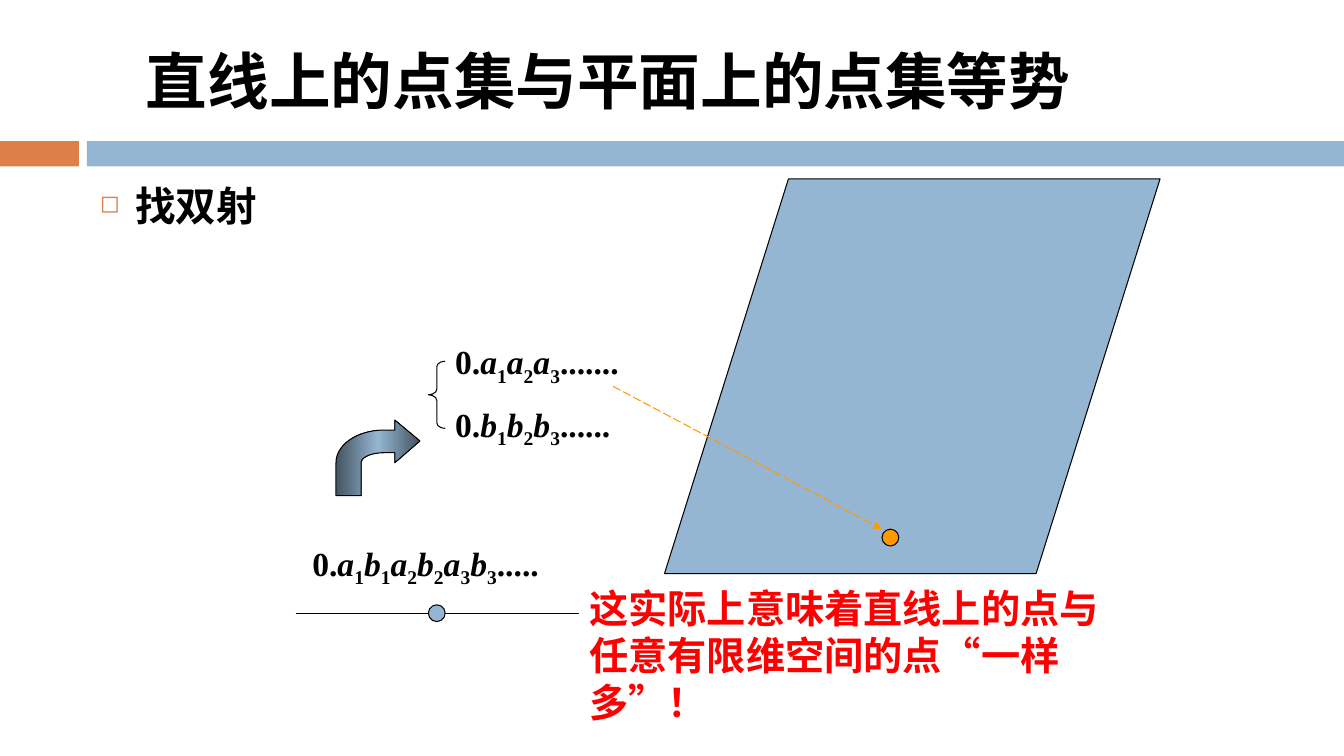
from copy import deepcopy

from lxml import etree
from pptx import Presentation
from pptx.dml.color import RGBColor
from pptx.enum.dml import MSO_LINE
from pptx.enum.shapes import MSO_CONNECTOR, MSO_SHAPE
from pptx.enum.text import MSO_ANCHOR
from pptx.oxml.ns import qn
from pptx.util import Inches, Pt

RECT, OVAL = MSO_SHAPE.RECTANGLE, MSO_SHAPE.OVAL
PLANE, BRACE = MSO_SHAPE.PARALLELOGRAM, MSO_SHAPE.LEFT_BRACE
STRAIGHT, LONG_DASH = MSO_CONNECTOR.STRAIGHT, MSO_LINE.LONG_DASH
TOP, MIDDLE = MSO_ANCHOR.TOP, MSO_ANCHOR.MIDDLE
BLUE, ORANGE, AMBER, BLACK = "94B6D2", "DD8047", "FF9900", "000000"
COLUMNS, ROWS = 160, 90

deck = Presentation()
deck.slide_width, deck.slide_height = Inches(13.33), Inches(7.5)
slide = deck.slides.add_slide(deck.slide_layouts[6])
shapes = slide.shapes


def grid(*cells):
    sizes = (deck.slide_width / COLUMNS, deck.slide_height / ROWS)
    return [round(cell * sizes[i % 2]) for i, cell in enumerate(cells)]


def paint(part, color):
    if hasattr(part, "solid"):
        part.solid()
        part = part.fore_color
    elif hasattr(part, "color"):
        part = part.color
    part.rgb = RGBColor.from_string(color)


def_outline = Pt(0.75)

lines = [
    ((35.2, 73, 68.9, 73), BLACK, False),
    ((73, 46, 105, 63), AMBER, True),
]
figures = [
    (RECT, (0, 16.8, 9.4, 3), ORANGE, None, []),
    (RECT, (10.36, 16.8, 149.64, 3), BLUE, None, []),
    (PLANE, (79.1, 21.3, 59, 47), BLUE, BLACK, [0.314]),
    (BRACE, (51, 43, 2, 8), None, BLACK, [0.333, 0.5]),
]

for kind, place, fill, outline, adjustments in figures:
    figure = shapes.add_shape(kind, *grid(*place))
    figure.shadow.inherit = False
    for i, value in enumerate(adjustments):
        figure.adjustments[i] = value
    if fill:
        paint(figure.fill, fill)
    else:
        figure.fill.background()
    if outline:
        paint(figure.line, outline)
        figure.line.width = def_outline
    else:
        figure.line.fill.background()

for ends, color, mapping in lines:
    line = shapes.add_connector(STRAIGHT, *grid(*ends))
    paint(line.line, color)
    line.line.width = def_outline
    if mapping:
        line.line.dash_style = LONG_DASH
        outline = line.line._get_or_add_ln()
        etree.SubElement(outline, qn("a:tailEnd"), type="triangle")
    etree.SubElement(line._element.spPr, qn("a:effectLst"))

for place, color in [((51, 72, 2, 2), BLUE), ((105, 63, 2, 2), AMBER)]:
    point = shapes.add_shape(OVAL, *grid(*place))
    point.shadow.inherit = False
    paint(point.fill, color)
    paint(point.line, BLACK)
    point.line.width = def_outline

outer_bend = [(45.7, 51.2), (42.6, 51.2), (40, 52.9), (40, 55.1)]
inner_bend = [(43, 55.1), (43, 54.4), (44.3, 53.9), (45.7, 53.9)]
bends = []
for bend in (outer_bend, inner_bend):
    bends.append([])
    for step in range(17):
        t = step / 16
        weights = ((1 - t) ** 3, 3 * t * (1 - t) ** 2, 3 * t * t * (1 - t), t ** 3)
        bends[-1].append([sum(w * p[axis] for w, p in zip(weights, bend)) for axis in (0, 1)])
corners = [(47, 50), (47, 51.2), *bends[0], (40, 59), (43, 59), *bends[1], (47, 53.9), (47, 55.1)]
builder = shapes.build_freeform(*grid(50, 52.5))
builder.add_line_segments([grid(*corner) for corner in corners], close=True)
arrow = builder.convert_to_shape()
arrow.shadow.inherit = False
arrow.fill.gradient()
arrow.fill.gradient_angle = 0
stops = arrow._element.spPr.find(".//" + qn("a:gsLst"))
stops.append(deepcopy(stops[0]))
for stop, share, color in zip(arrow.fill.gradient_stops, (0, 0.5, 1), ("445461", BLUE, "445461")):
    stop.position = share
    paint(stop, color)
paint(arrow.line, BLACK)
arrow.line.width = def_outline

heading = {"size": Pt(44), "name": "Cabin", "bold": True}
topic = {"size": Pt(29), "name": "Cabin", "bold": True}
formula = {"size": Pt(24), "name": "Times New Roman", "bold": True}
remark = {"size": Pt(28), "name": "Times New Roman", "bold": True}
texts = [
    ((16.2, 3, 128, 13), MIDDLE, heading, BLACK, ["直线上的点集与平面上的点集等势"]),
    ((10.7, 21, 142.7, 59), TOP, topic, BLACK, ["找双射"]),
    ((36, 64, 42, 6), TOP, formula, "010103", ["0. a 1 b 1 a 2 b 2 a 3 b 3 ....."]),
    ((53, 40, 39, 13.3), TOP, formula, "010103",
     ["0. a 1 a 2 a 3 .......", "0. b 1 b 2 b 3 ......"]),
    ((69, 69, 66, 18.1), TOP, remark, "FF0000",
     ["这实际上意味着直线上的点与任意有限维空间的点“一样多”！"]),
]
for place, anchor, style, color, paragraphs in texts:
    frame = shapes.add_textbox(*grid(*place)).text_frame
    frame.word_wrap = True
    frame.vertical_anchor = anchor
    for i, content in enumerate(paragraphs):
        paragraph = frame.add_paragraph() if i else frame.paragraphs[0]
        properties = paragraph._p.get_or_add_pPr()
        if style is topic:
            paragraph.space_before = Pt(7)
            for key in ("marL", "indent"):
                properties.set(key, str(Inches(0.35) if key == "marL" else -Inches(0.35)))
            bullet_color = etree.SubElement(properties, qn("a:buClr"))
            etree.SubElement(bullet_color, qn("a:srgbClr"), val=ORANGE)
            etree.SubElement(properties, qn("a:buSzPct"), val="60000")
            etree.SubElement(properties, qn("a:buChar"), char="◻")
        elif style is not heading:
            before = etree.SubElement(properties, qn("a:spcBef"))
            etree.SubElement(before, qn("a:spcPct"), val="50000")
        for token in content.split():
            run = paragraph.add_run()
            run.text = token
            for key, value in style.items():
                setattr(run.font, key, value)
            paint(run.font, color)
            if token in ("a", "b"):
                run.font.italic = True
            elif token.isdigit():
                run._r.get_or_add_rPr().set("baseline", "-25000")

deck.save("out.pptx")
